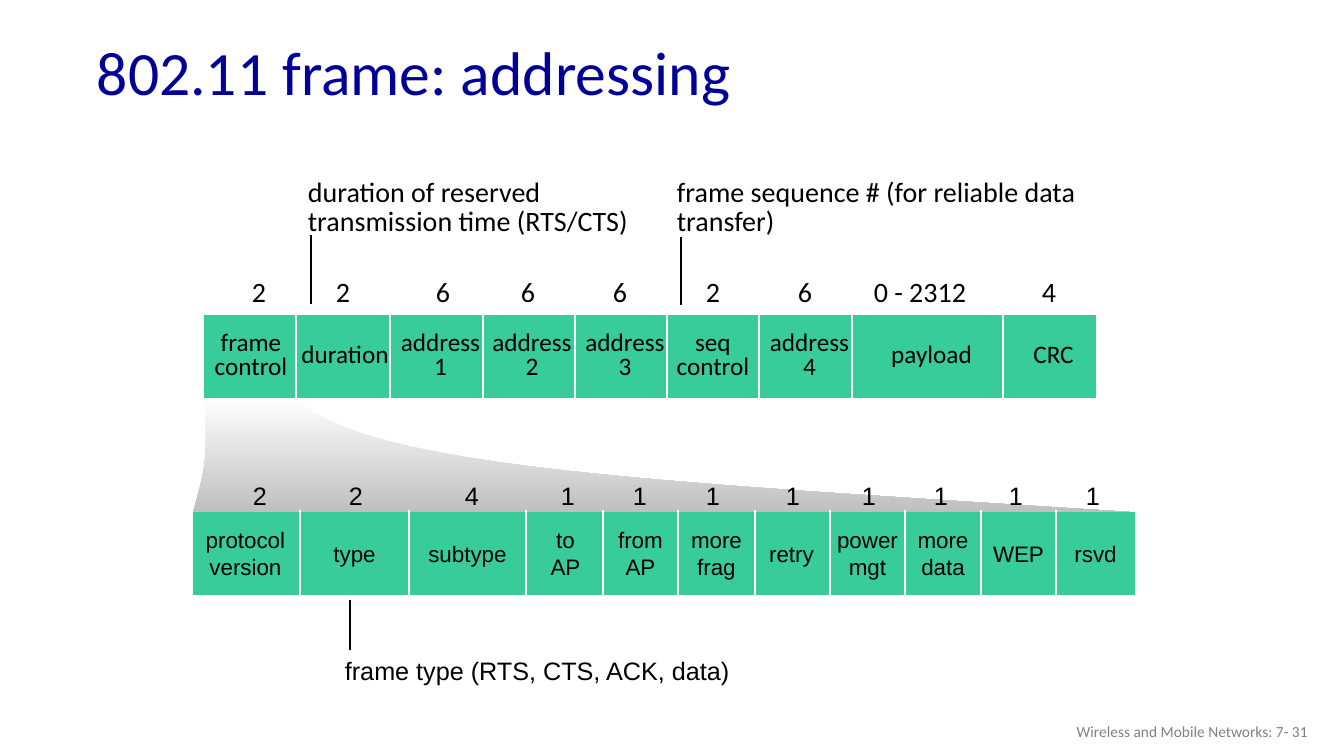
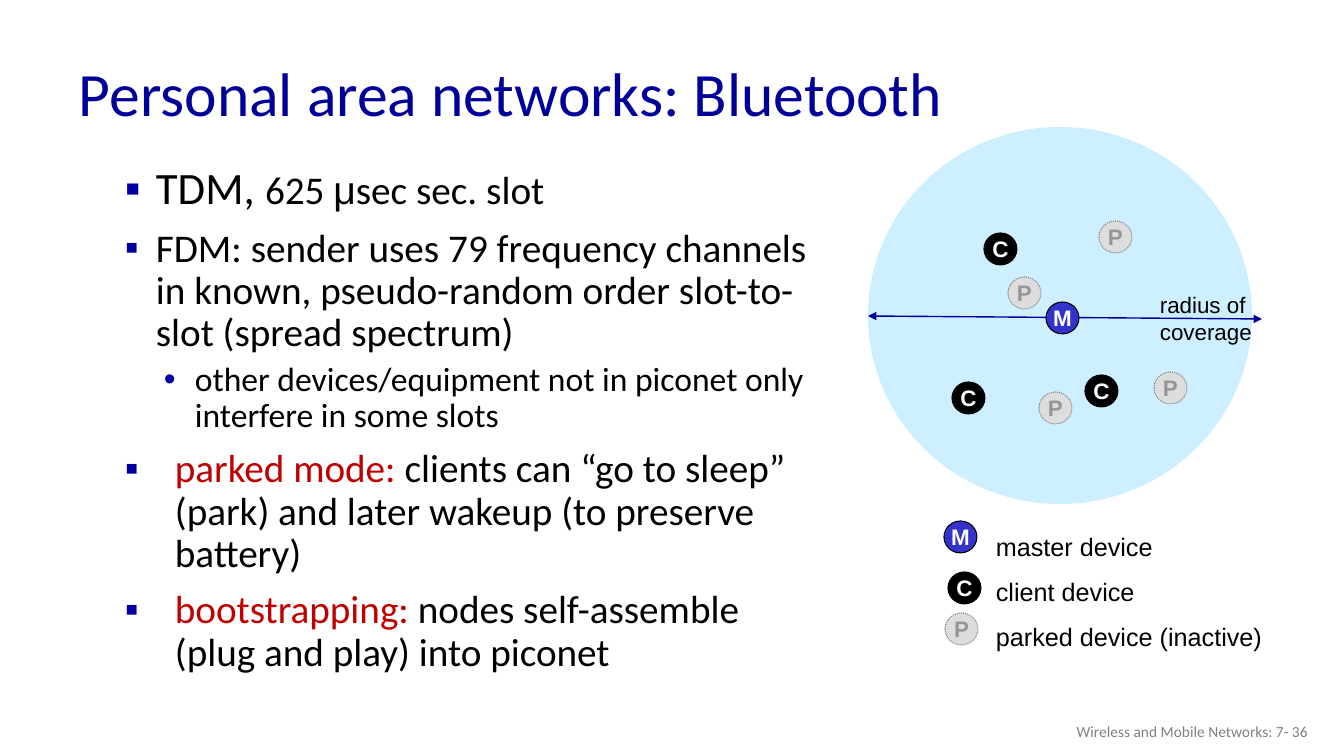
from lxml.etree import SubElement
from pptx import Presentation
from pptx.dml.color import RGBColor
from pptx.enum.dml import MSO_LINE
from pptx.enum.shapes import MSO_CONNECTOR, MSO_SHAPE
from pptx.enum.text import MSO_ANCHOR as ANCHOR, PP_ALIGN as ALIGN
from pptx.oxml.ns import qn
from pptx.util import Pt

PX = 914400 / 100.8  # EMU in one px

BLACK = RGBColor(0x00, 0x00, 0x00)
WHITE = RGBColor(0xFF, 0xFF, 0xFF)
NAVY = RGBColor(0x00, 0x00, 0x99)
BULLET_BLUE = "0000A3"
RED = RGBColor(0xC0, 0x00, 0x00)
GREEN = RGBColor(0x37, 0xCC, 0x99)
SKY = RGBColor(0x9A, 0xE0, 0xFF)
BLUE = RGBColor(0x33, 0x33, 0xCC)
FOOTER_GREY = RGBColor(0x80, 0x80, 0x80)
SHADE_GREY = RGBColor(0xBF, 0xBF, 0xBF)
PARKED_FILL = RGBColor(0xDD, 0xDD, 0xDD)
PARKED_TEXT = RGBColor(0x96, 0x96, 0x96)


def write(slide, box, *paragraphs, kind=None, fill=None, outline=None, dash=None,
          font="Calibri", size=18, color=BLACK, bold=False, align=ALIGN.LEFT,
          anchor=ANCHOR.TOP, spacing=None, wrap=True, margin=None):
    """Add a text box, or a shape of the given kind; a paragraph is a string
    or a list of (string, overrides) runs."""
    place = [round(n * PX) for n in box]
    if kind is None:
        shape = slide.shapes.add_textbox(*place)
    else:
        shape = slide.shapes.add_shape(kind, *place)
        shape.shadow.inherit = False
        shape.fill.solid()
        shape.fill.fore_color.rgb = fill
        if outline is None:
            shape.line.fill.background()
        else:
            shape.line.color.rgb = outline
            shape.line.width = Pt(0.75)
            shape.line.dash_style = dash
    frame = shape.text_frame
    frame.word_wrap = wrap
    frame.vertical_anchor = anchor
    if margin is not None:
        frame.margin_left = frame.margin_right = round(margin * PX)
        frame.margin_top = frame.margin_bottom = round(margin * PX)
    for i, content in enumerate(paragraphs):
        paragraph = frame.add_paragraph() if i else frame.paragraphs[0]
        paragraph.alignment = align
        paragraph.line_spacing = spacing
        for text, change in [(content, {})] if isinstance(content, str) else content:
            run = paragraph.add_run()
            run.text = text
            run.font.name = change.get("font", font)
            run.font.size = Pt(change.get("size", size))
            run.font.color.rgb = change.get("color", color)
            run.font.bold = bold
    return shape


def rule(slide, x1, y1, x2, y2, color=BLACK, width=1, arrows=False):
    """Add a straight line, with arrowheads at both ends if asked."""
    ends = [round(n * PX) for n in (x1, y1, x2, y2)]
    connector = slide.shapes.add_connector(MSO_CONNECTOR.STRAIGHT, *ends)
    connector.line.color.rgb = color
    connector.line.width = Pt(width)
    properties = connector.element.spPr
    if arrows:
        for end in ("a:headEnd", "a:tailEnd"):
            SubElement(properties.find(qn("a:ln")), qn(end), type="triangle")
    SubElement(properties, qn("a:effectLst"))


prs = Presentation()
prs.slide_width = round(1344 * PX)
prs.slide_height = round(756 * PX)

# Titles and footers
slides = []
for title, left, top, number in [
    ("802.11 frame: addressing", 87, 26, 31),
    ("Personal area networks: Bluetooth", 69, 47, 36),
]:
    slide = prs.slides.add_slide(prs.slide_layouts[6])
    write(slide, (left, top, 1159, 99), title, size=44, color=NAVY,
          anchor=ANCHOR.MIDDLE, spacing=0.9)
    write(slide, (1016, 711, 302, 40), f"Wireless and Mobile Networks: 7- {number}",
          size=11, color=FOOTER_GREY, align=ALIGN.RIGHT, anchor=ANCHOR.MIDDLE)
    slides.append(slide)
frame_slide, piconet_slide = slides

# Shaded zoom from the frame control field to its parts
zoom_edges = [
    [(204, 397), (209, 464), (203, 475), (193, 513)],
    [(1130, 512), (664, 482), (363, 469), (294, 397)],
]
STEPS = 24
outline_points = []
for edge in zoom_edges:
    for step in range(STEPS + 1):
        t = step / STEPS
        weights = ((1 - t) ** 3, 3 * t * (1 - t) ** 2, 3 * t ** 2 * (1 - t), t ** 3)
        outline_points.append(tuple(
            round(PX * sum(w * point[axis] for w, point in zip(weights, edge)))
            for axis in (0, 1)))
builder = frame_slide.shapes.build_freeform(*outline_points[0])
builder.add_line_segments(outline_points[1:], close=True)
zoom = builder.convert_to_shape()
zoom.shadow.inherit = False
zoom.line.fill.background()
zoom.fill.gradient()
zoom.fill.gradient_angle = 270
for stop, shade in zip(zoom.fill.gradient_stops, (WHITE, SHADE_GREY)):
    stop.color.rgb = shade

# Field rows: cell left, label left, length centre, length, label lines
frame_fields = [
    (204, 205, 259, "2", ["frame", "control"]),
    (296, 298, 343, "2", ["duration"]),
    (390, 394, 443, "6", ["address", "1"]),
    (483, 486, 528, "6", ["address", "2"]),
    (575, 579, 620, "6", ["address", "3"]),
    (667, 667, 713, "2", ["seq", "control"]),
    (759, 763, 805, "6", ["address", "4"]),
    (852, 856, 920, "0 - 2312", ["payload"]),
    (1003, 1007, 1049, "4", ["CRC"]),
]
control_fields = [
    (193, 192, 260, "2", ["protocol", "version"]),
    (300, 300, 356, "2", ["type"]),
    (409, 409, 472, "4", ["subtype"]),
    (526, 527, 568, "1", ["to", "AP"]),
    (603, 603, 640, "1", ["from", "AP"]),
    (678, 678, 713, "1", ["more", "frag"]),
    (755, 754, 793, "1", ["retry"]),
    (830, 830, 869, "1", ["power", "mgt"]),
    (905, 905, 941, "1", ["more", "data"]),
    (981, 981, 1016, "1", ["WEP"]),
    (1056, 1056, 1093, "1", ["rsvd"]),
]
BAND_HEIGHT = 83
for fields, top, right, length_top, font, length_size, label_size, spacing in [
    (frame_fields, 315, 1096, 270, "Calibri", 20, 18, 0.8),
    (control_fields, 512, 1135, 475, "Arial", 18, 16, None),
]:
    band_left = fields[0][0]
    write(frame_slide, (band_left, top, right - band_left, BAND_HEIGHT),
          kind=MSO_SHAPE.RECTANGLE, fill=GREEN)
    cell_ends = [field[0] for field in fields[1:]] + [right]
    for (left, label_left, centre, length, label), end in zip(fields, cell_ends):
        if left > band_left:
            rule(frame_slide, left, top - 2, left, top + BAND_HEIGHT + 2, WHITE, 1.5)
        write(frame_slide, (label_left, top + 8, end - left, 67), *label, font=font,
              size=label_size, align=ALIGN.CENTER, anchor=ANCHOR.MIDDLE,
              spacing=spacing, wrap=False, margin=0)
        write(frame_slide, (centre - 60, length_top, 120, 42), length, font=font,
              size=length_size, align=ALIGN.CENTER, wrap=False)

# Captions with their pointers
for box, lines, font, size, spacing, x, start, end in [
    ((298, 175, 344, 69), ["duration of reserved", "transmission time (RTS/CTS)"],
     "Calibri", 20, 0.85, 311, 235, 304),
    ((667, 175, 434, 69), ["frame sequence # (for reliable data transfer)"],
     "Calibri", 20, 0.85, 681, 237, 305),
    ((335, 650, 528, 40), ["frame type (RTS, CTS, ACK, data)"],
     "Arial", 18, None, 350, 600, 650),
]:
    write(frame_slide, box, *lines, font=font, size=size, spacing=spacing)
    rule(frame_slide, x, start, x, end)

# Bluetooth points: level, left indent, runs
points = [
    (0, 31, [("TDM, ", {"size": 32}), ("625 ", {}), ("μ", {"font": "Arial"}),
             ("sec sec. slot", {})]),
    (0, 31, [("FDM: sender uses 79 frequency channels in known, pseudo-random order "
              "slot-to-slot (spread spectrum)", {})]),
    (1, 70, [("other devices/equipment not in piconet only interfere in some slots",
              {"size": 24})]),
    (0, 50, [("parked mode: ", {"color": RED}),
             ("clients can “go to sleep” (park) and later wakeup (to preserve battery)",
              {})]),
    (0, 50, [("bootstrapping: ", {"color": RED}),
             ("nodes self-assemble (plug and play) into piconet", {})]),
]
body = write(piconet_slide, (115, 161, 703, 583), *[runs for _, _, runs in points],
             size=28, spacing=0.9)
for (level, indent, _), paragraph, properties in zip(
        points, body.text_frame.paragraphs, body.element.iter(qn("a:pPr"))):
    paragraph.level = level
    paragraph.space_before = Pt(5 if level else 10)
    properties.set("marL", str(round(indent * PX)))
    properties.set("indent", str(round((-31 if level else -indent) * PX)))
    bullet_color = SubElement(properties, qn("a:buClr"))
    SubElement(bullet_color, qn("a:srgbClr"), val=BULLET_BLUE)
    SubElement(properties, qn("a:buFont"), typeface="Arial")
    SubElement(properties, qn("a:buChar"), char="•" if level else "▪")

# Coverage area and its radius
coverage = write(piconet_slide, (868, 127, 384, 377), kind=MSO_SHAPE.OVAL, fill=SKY)
SubElement(next(coverage.element.iter(qn("a:srgbClr"))), qn("a:alpha"), val="49000")
write(piconet_slide, (1150, 286, 112, 65), "radius of", "coverage",
      font="Arial", size=16, wrap=False)
rule(piconet_slide, 868, 316, 1262, 319, NAVY, arrows=True)

# Devices, the last place of each kind being its legend key
devices = [
    ("M", BLUE, BLACK, WHITE, None, [(1046, 302), (944, 521)]),
    ("C", BLACK, BLACK, WHITE, None, [(984, 233), (1085, 375), (952, 382), (948, 572)]),
    ("P", PARKED_FILL, FOOTER_GREY, PARKED_TEXT, MSO_LINE.ROUND_DOT,
     [(1099, 221), (1039, 392), (1008, 277), (1154, 372), (945, 613)]),
]
for letter, fill, outline, color, dash, places in devices:
    for left, top in places:
        write(piconet_slide, (left, top, 33, 32), letter, kind=MSO_SHAPE.OVAL,
              fill=fill, outline=outline, dash=dash, font="Arial", size=16,
              color=color, bold=True, align=ALIGN.CENTER, anchor=ANCHOR.MIDDLE,
              wrap=False, margin=0)
write(piconet_slide, (986, 511, 289, 146), "master device", "client device",
      "parked device (inactive)", font="Arial", spacing=1.5, wrap=False)

prs.save("out.pptx")
